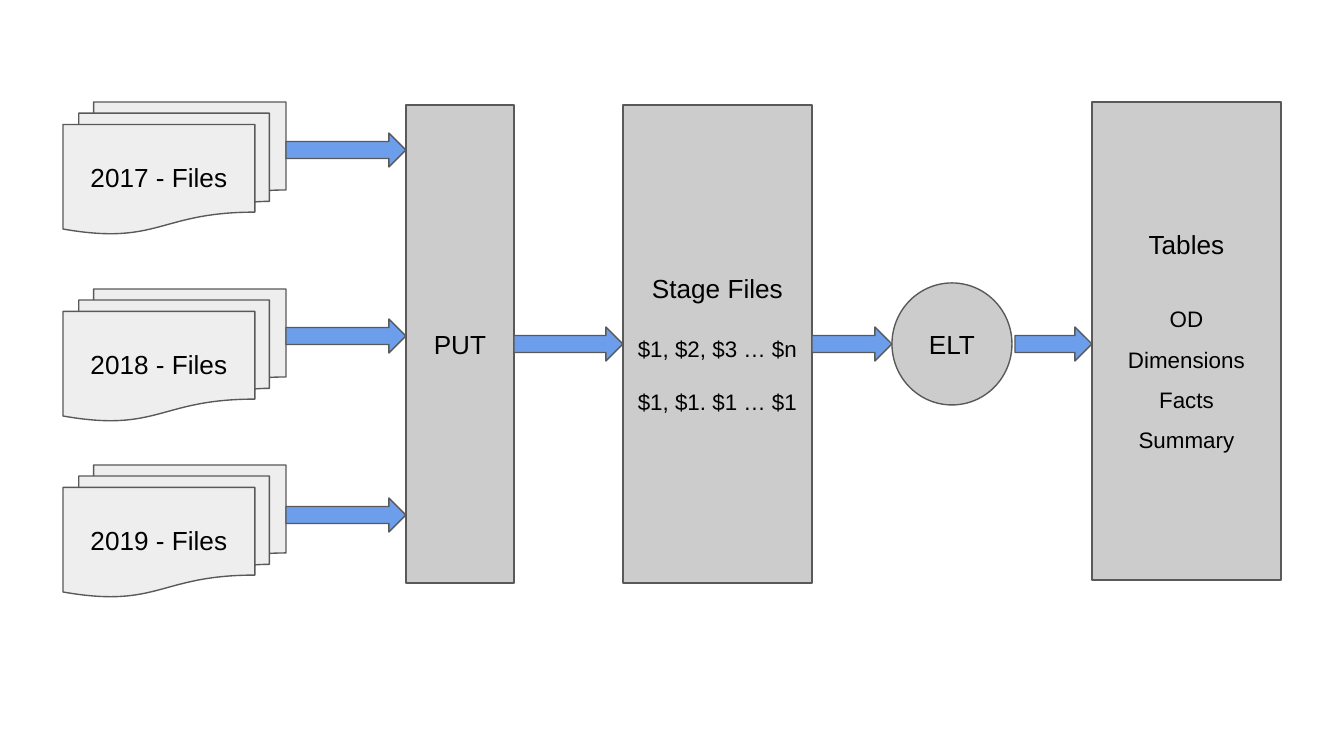
"""Build a slide showing yearly files loaded by PUT, staged, and moved by ELT into tables."""
import pptx
import pptx.dml.color
import pptx.enum.shapes
import pptx.enum.text
import pptx.util

RGB = pptx.dml.color.RGBColor
KIND = pptx.enum.shapes.MSO_SHAPE
Pt = pptx.util.Pt

BLACK = RGB(0x00, 0x00, 0x00)
EDGE = RGB(0x59, 0x59, 0x59)
PALE = RGB(0xEE, 0xEE, 0xEE)
GREY = RGB(0xCC, 0xCC, 0xCC)
BLUE = RGB(0x6D, 0x9E, 0xEB)
PX = 914400 / 134.4


def draw(kind, fill, *box):
    shape = slide.shapes.add_shape(kind, *(round(n * PX) for n in box))
    shape.shadow.inherit = False
    shape.fill.solid()
    shape.fill.fore_color.rgb = fill
    shape.line.color.rgb = EDGE
    shape.line.width = Pt(0.75)
    return shape


def write(shape, text, size=14, gap=0, lead=1.0, first=True):
    frame = shape.text_frame
    frame.word_wrap = True
    frame.vertical_anchor = pptx.enum.text.MSO_ANCHOR.MIDDLE
    frame.margin_left = frame.margin_right = round(13 * PX)
    frame.margin_top = frame.margin_bottom = round(13 * PX)
    para = frame.paragraphs[0] if first else frame.add_paragraph()
    para.alignment = pptx.enum.text.PP_ALIGN.CENTER
    para.space_before = Pt(gap)
    para.line_spacing = lead
    run = para.add_run()
    run.text = text
    run.font.name = "Arial"
    run.font.size = Pt(size)
    run.font.color.rgb = BLACK


deck = pptx.Presentation()
deck.slide_width = round(1344 * PX)
deck.slide_height = round(756 * PX)
slide = deck.slides.add_slide(deck.slide_layouts[6])

for year, top, mid in ((2017, 102, 150), (2018, 289, 336), (2019, 465, 515)):
    files = draw(KIND.FLOWCHART_MULTIDOCUMENT, PALE, 63, top, 223, 132)
    write(files, f"{year} - Files")
    draw(KIND.RIGHT_ARROW, BLUE, 286, mid - 17, 120, 34)

put = draw(KIND.RECTANGLE, GREY, 406, 105, 108, 478)
write(put, "PUT")

stage = draw(KIND.RECTANGLE, GREY, 623, 105, 189, 478)
write(stage, "Stage Files")
for text, gap in (("$1, $2, $3 … $n", 17), ("$1, $1. $1 … $1", 14)):
    write(stage, text, size=12, gap=gap, first=False)

elt = draw(KIND.OVAL, GREY, 892, 283, 120, 122)
write(elt, "ELT")

store = draw(KIND.RECTANGLE, GREY, 1092, 102, 189, 478)
write(store, "Tables")
for text, gap in (("OD", 17), ("Dimensions", 0), ("Facts", 0), ("Summary", 0)):
    write(store, text, size=12, gap=gap, lead=1.5, first=False)

for left, right in ((514, 623), (812, 892), (1015, 1092)):
    draw(KIND.RIGHT_ARROW, BLUE, left, 327, right - left, 34)

deck.save("out.pptx")
